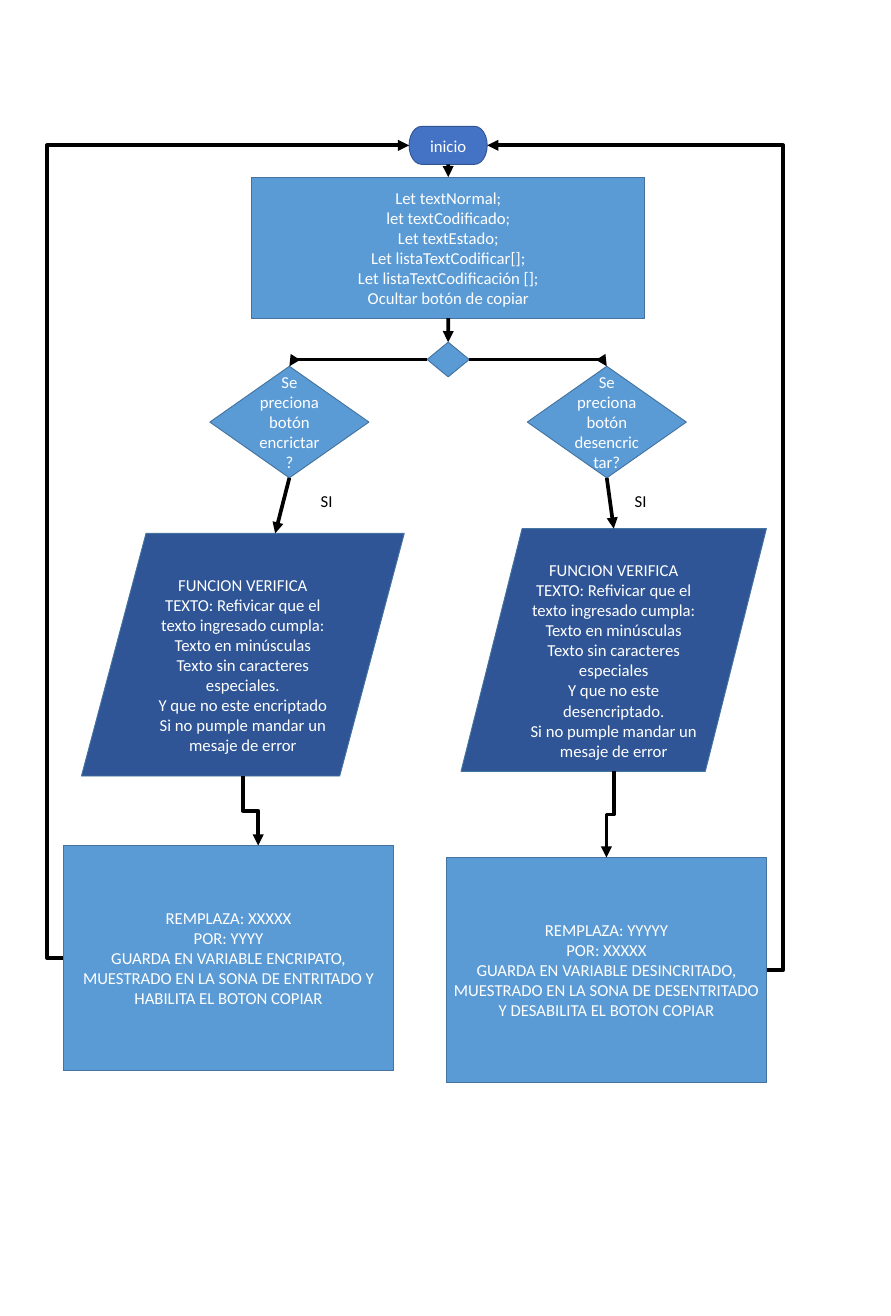
"""Build a flowchart slide of a text encrypting and decrypting program."""
import lxml.etree
import pptx
import pptx.dml.color
import pptx.enum.shapes
import pptx.enum.text
import pptx.oxml.ns
import pptx.util

Pt = pptx.util.Pt
SHAPES = pptx.enum.shapes.MSO_SHAPE
CONNECTORS = pptx.enum.shapes.MSO_CONNECTOR
ALIGN = pptx.enum.text.PP_ALIGN
ANCHOR = pptx.enum.text.MSO_ANCHOR
qn = pptx.oxml.ns.qn

COLORS = {
    "start": "4472C4", "start_line": "325491", "step": "5B9BD5", "function": "2F5597",
    "line": "43739E", "arrow": "000000", "light": "FFFFFF", "dark": "000000",
}
FONT = {"name": "Calibri", "size": Pt(18)}
TOP, LEFT, BOTTOM, RIGHT = range(4)
SIDES = {TOP: (0.5, 0), LEFT: (0, 0.5), BOTTOM: (0.5, 1), RIGHT: (1, 0.5)}
LOOP_DETOUR = Pt(18)

BRANCHES = [
    {
        "question": "Se preciona botón encrictar?",
        "question_box": (226.1, 394.6, 171.4, 120.2),
        "fork_side": LEFT,
        "label_box": (338.4, 525.6, 99.4, 51.1),
        "function": [
            "FUNCION VERIFICA TEXTO: Refivicar que el texto ingresado cumpla:",
            "Texto en minúsculas",
            "Texto sin caracteres especiales.",
            "Y que no este encriptado",
            "Si no pumple mandar un mesaje de error",
        ],
        "function_box": (87.8, 574.6, 347.8, 261.4),
        "function_entry": (0.6, 0),
        "result": [
            "REMPLAZA: XXXXX",
            "POR: YYYY",
            "GUARDA EN VARIABLE ENCRIPATO, MUESTRADO EN LA SONA DE ENTRITADO Y HABILITA EL BOTON COPIAR",
        ],
        "result_box": (68.4, 910.8, 355.7, 242.6),
        "result_entry": (0.59, 0),
    },
    {
        "question": "Se preciona botón desencrictar?",
        "question_box": (568.1, 394.6, 171.4, 120.2),
        "fork_side": RIGHT,
        "label_box": (676.8, 525.6, 99.4, 51.1),
        "function": [
            "FUNCION VERIFICA TEXTO: Refivicar que el texto ingresado cumpla:",
            "Texto en minúsculas",
            "Texto sin caracteres especiales",
            "Y que no este desencriptado.",
            "Si no pumple mandar un mesaje de error",
        ],
        "function_box": (496.8, 569.5, 329, 261.4),
        "function_entry": (0.5, 0),
        "result": [
            "REMPLAZA: YYYYY",
            "POR: XXXXX",
            "GUARDA EN VARIABLE DESINCRITADO, MUESTRADO EN LA SONA DE DESENTRITADO Y DESABILITA EL BOTON COPIAR",
        ],
        "result_box": (481, 923.8, 344.9, 242.6),
        "result_entry": (0.5, 0),
    },
]


def rgb(name):
    """Return the named colour."""
    return pptx.dml.color.RGBColor.from_string(COLORS[name])


def apply_format(target, values):
    """Set every attribute named in values on target."""
    for name, value in values.items():
        setattr(target, name, value)


def write_text(shape, lines, color, align, frame_format):
    """Write one formatted paragraph for each line."""
    frame = shape.text_frame
    apply_format(frame, {"word_wrap": True, **frame_format})
    frame.text = "\n".join(lines)
    for paragraph in frame.paragraphs:
        paragraph.alignment = align
        for run in paragraph.runs:
            apply_format(run.font, FONT)
            run.font.color.rgb = rgb(color)


def add_node(slide, kind, box, lines=(), fill="step", line="line", margin_top=3.6):
    """Add a filled flowchart symbol with centred text."""
    shape = slide.shapes.add_shape(kind, *map(Pt, box))
    shape.shadow.inherit = False
    shape.fill.solid()
    shape.fill.fore_color.rgb = rgb(fill)
    shape.line.color.rgb = rgb(line)
    shape.line.width = Pt(1)
    if lines:
        frame_format = {"vertical_anchor": ANCHOR.MIDDLE, "margin_top": Pt(margin_top)}
        write_text(shape, lines, "light", ALIGN.CENTER, frame_format)
    return shape


def add_label(slide, box, text):
    """Add a plain label beside an arrow."""
    label = slide.shapes.add_textbox(*map(Pt, box))
    write_text(label, [text], "dark", ALIGN.LEFT, {"vertical_anchor": ANCHOR.TOP})


def point_on(shape, position):
    """Return the point at the given fractions of a shape's width and height."""
    across, down = position
    return int(shape.left + across * shape.width), int(shape.top + down * shape.height)


def add_arrow(slide, kind, start, end):
    """Add a thick connector with a triangular head at its end."""
    arrow = slide.shapes.add_connector(kind, *start, *end)
    arrow.line.color.rgb = rgb("arrow")
    arrow.line.width = Pt(4)
    properties = arrow._element.spPr
    lxml.etree.SubElement(properties.find(qn("a:ln")), qn("a:tailEnd"), type="triangle")
    lxml.etree.SubElement(properties, qn("a:effectLst"))
    return arrow


def add_straight(slide, source, target, entry=None):
    """Run an arrow from the bottom of source to the top or entry of target."""
    start = point_on(source, SIDES[BOTTOM])
    end = point_on(target, entry or SIDES[TOP])
    arrow = add_arrow(slide, CONNECTORS.STRAIGHT, start, end)
    arrow.begin_connect(source, BOTTOM)
    if entry is None:
        arrow.end_connect(target, TOP)


def add_corner(slide, start, end):
    """Add an arrow that runs sideways and then down."""
    arrow = add_arrow(slide, CONNECTORS.ELBOW, start, end)
    arrow._element.spPr.find(qn("a:prstGeom")).set("prst", "bentConnector2")


def add_step_down(slide, start, end):
    """Add an arrow that runs down, sideways and down again."""
    arrow = add_arrow(slide, CONNECTORS.ELBOW, start, end)
    shift, drop = end[0] - start[0], end[1] - start[1]
    middle_x, middle_y = (start[0] + end[0]) // 2, (start[1] + end[1]) // 2
    apply_format(arrow, {
        "left": middle_x - drop // 2, "top": middle_y - abs(shift) // 2,
        "width": drop, "height": abs(shift),
    })
    transform = arrow._element.spPr.find(qn("a:xfrm"))
    for name, value in {"rot": "5400000", "flipH": "0", "flipV": str(int(shift > 0))}.items():
        transform.set(name, value)


def add_loop(slide, start, end):
    """Add an arrow that swings outside the chart and back to its start."""
    arrow = add_arrow(slide, CONNECTORS.ELBOW, start, end)
    bend = round(-100000 * LOOP_DETOUR / abs(end[0] - start[0]))
    guides = arrow._element.spPr.find(qn("a:prstGeom")).get_or_add_avLst()
    lxml.etree.SubElement(guides, qn("a:gd"), name="adj1", fmla=f"val {bend}")


def add_branch(slide, branch, start, fork):
    """Add the question, function and result of one branch with their arrows."""
    question = add_node(slide, SHAPES.FLOWCHART_DECISION, branch["question_box"], [branch["question"]])
    function = add_node(slide, SHAPES.FLOWCHART_DATA, branch["function_box"],
                        branch["function"], fill="function", margin_top=25.6)
    result = add_node(slide, SHAPES.FLOWCHART_PROCESS, branch["result_box"], branch["result"])
    side = SIDES[branch["fork_side"]]
    add_corner(slide, point_on(fork, side), point_on(question, SIDES[TOP]))
    add_straight(slide, question, function, branch["function_entry"])
    add_label(slide, branch["label_box"], "SI")
    add_step_down(slide, point_on(function, SIDES[BOTTOM]), point_on(result, branch["result_entry"]))
    add_loop(slide, point_on(result, side), point_on(start, side))


def main():
    """Build and save the presentation."""
    presentation = pptx.Presentation()
    apply_format(presentation, {"slide_width": Pt(960), "slide_height": Pt(1417.7)})
    slide = presentation.slides.add_slide(presentation.slide_layouts[6])
    start = add_node(slide, SHAPES.FLOWCHART_TERMINATOR, (440.8, 136.1, 84.2, 41),
                     ["inicio"], fill="start", line="start_line")
    variables = add_node(slide, SHAPES.FLOWCHART_PROCESS, (271.3, 190.8, 423.4, 151.9), [
        "Let textNormal;", "let textCodificado;", "Let textEstado;", "Let listaTextCodificar[];",
        "Let listaTextCodificación [];", "Ocultar botón de copiar"])
    fork = add_node(slide, SHAPES.FLOWCHART_DECISION, (460.2, 368.6, 45.4, 37.4))
    add_straight(slide, start, variables)
    add_straight(slide, variables, fork)
    for branch in BRANCHES:
        add_branch(slide, branch, start, fork)
    presentation.save("out.pptx")


if __name__ == "__main__":
    main()
